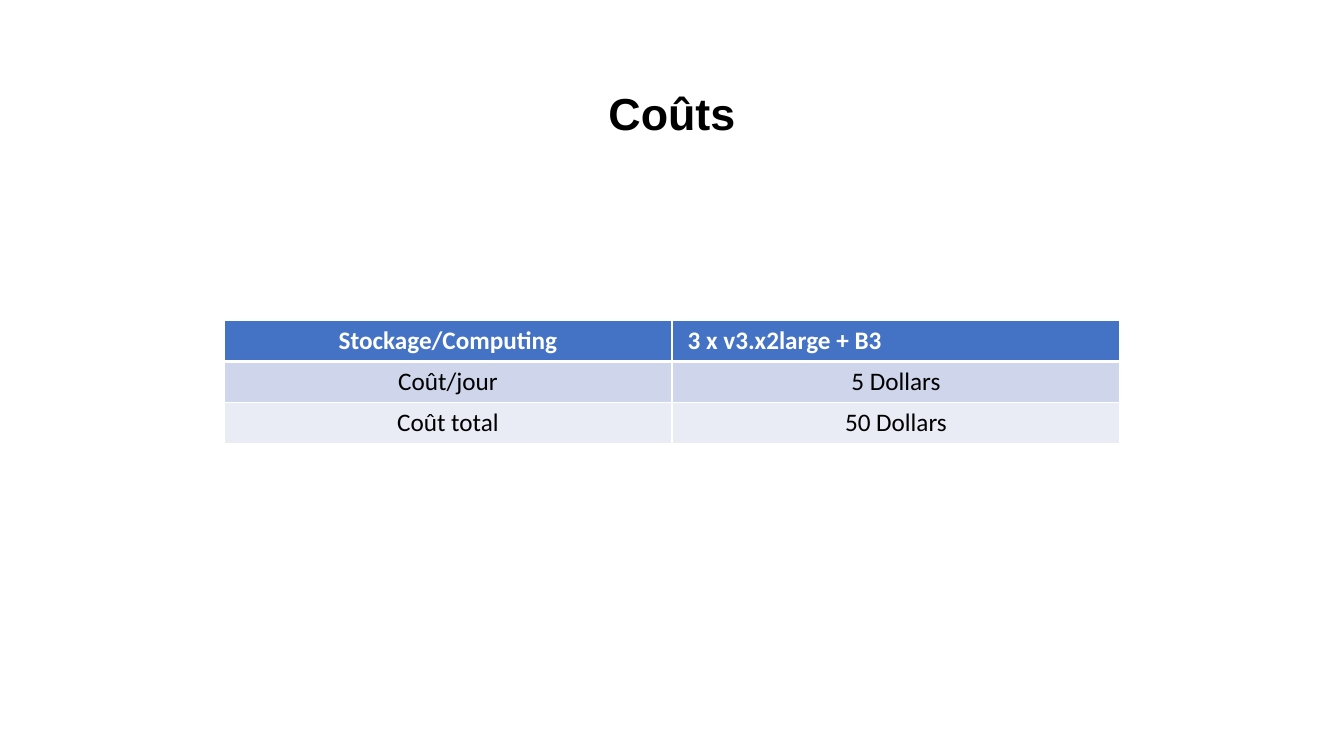
"""Build the cost slide: a title above a small table of storage and computing costs."""
from dataclasses import dataclass

from lxml import etree
from pptx import Presentation
from pptx import util as u
from pptx.dml.color import RGBColor
from pptx.enum import text
from pptx.oxml import ns
from pptx.table import _Cell
from pptx.text.text import TextFrame

CENTER = text.PP_ALIGN.CENTER
LEFT = text.PP_ALIGN.LEFT
WHITE = "FFFFFF"
BLACK = "000000"


@dataclass(frozen=True)
class CostRow:
    """One table row with its colours and borders."""

    label: str
    value: str
    fill: str
    color: str = BLACK
    bold: bool = False
    value_align: text.PP_ALIGN = CENTER
    top_border: float = 1
    bottom_border: float = 1


COST_ROWS = [
    CostRow("Stockage/Computing", " 3 x v3.x2large + B3", "4472C4", WHITE, True, LEFT, bottom_border=3),
    CostRow("Coût/jour", "5 Dollars", "CFD5EA", top_border=3),
    CostRow("Coût total", "50 Dollars", "E9EBF5"),
]


def rgb(value: str) -> RGBColor:
    """Turn a hex string into a colour."""
    return RGBColor.from_string(value)


def write_text(frame: TextFrame, content: str, *, size: float, font: str = "Calibri",
               color: str = BLACK, bold: bool = False, align: text.PP_ALIGN = CENTER) -> None:
    """Write one formatted paragraph into a text frame."""
    paragraph = frame.paragraphs[0]
    paragraph.alignment = align
    run = paragraph.add_run()
    run.text = content
    run.font.name = font
    run.font.size = u.Pt(size)
    run.font.bold = bold
    run.font.color.rgb = rgb(color)


def add_border(cell: _Cell, side: str, width: float) -> None:
    """Add a white border to one side of a cell."""
    properties = cell._tc.get_or_add_tcPr()
    line = etree.SubElement(properties, ns.qn(f"a:ln{side}"), w=str(u.Pt(width)))
    fill = etree.SubElement(line, ns.qn("a:solidFill"))
    etree.SubElement(fill, ns.qn("a:srgbClr"), val=WHITE)


def fill_cell(cell: _Cell, content: str, row: CostRow, align: text.PP_ALIGN) -> None:
    """Format a cell and write its text."""
    borders = {"L": 1, "R": 1, "T": row.top_border, "B": row.bottom_border}
    for side, width in borders.items():
        add_border(cell, side, width)
    cell.fill.solid()
    cell.fill.fore_color.rgb = rgb(row.fill)
    write_text(cell.text_frame, content, size=18, color=row.color, bold=row.bold, align=align)


def main() -> None:
    """Create the presentation and save it."""
    presentation = Presentation()
    presentation.slide_width = u.Pt(960)
    presentation.slide_height = u.Pt(540)
    slide = presentation.slides.add_slide(presentation.slide_layouts[6])

    title = slide.shapes.add_textbox(u.Pt(411), u.Pt(57.5), u.Pt(138), u.Pt(46))
    title.text_frame.word_wrap = True
    title.text_frame.auto_size = text.MSO_AUTO_SIZE.SHAPE_TO_FIT_TEXT
    write_text(title.text_frame, "Coûts", size=32, font="Arial", bold=True)

    row_height = 29.2
    table = slide.shapes.add_table(
        len(COST_ROWS), 2, u.Pt(160), u.Pt(229), u.Pt(640), u.Pt(row_height * len(COST_ROWS))
    ).table
    for index, row in enumerate(COST_ROWS):
        table.rows[index].height = u.Pt(row_height)
        fill_cell(table.cell(index, 0), row.label, row, CENTER)
        fill_cell(table.cell(index, 1), row.value, row, row.value_align)

    presentation.save("out.pptx")


if __name__ == "__main__":
    main()
